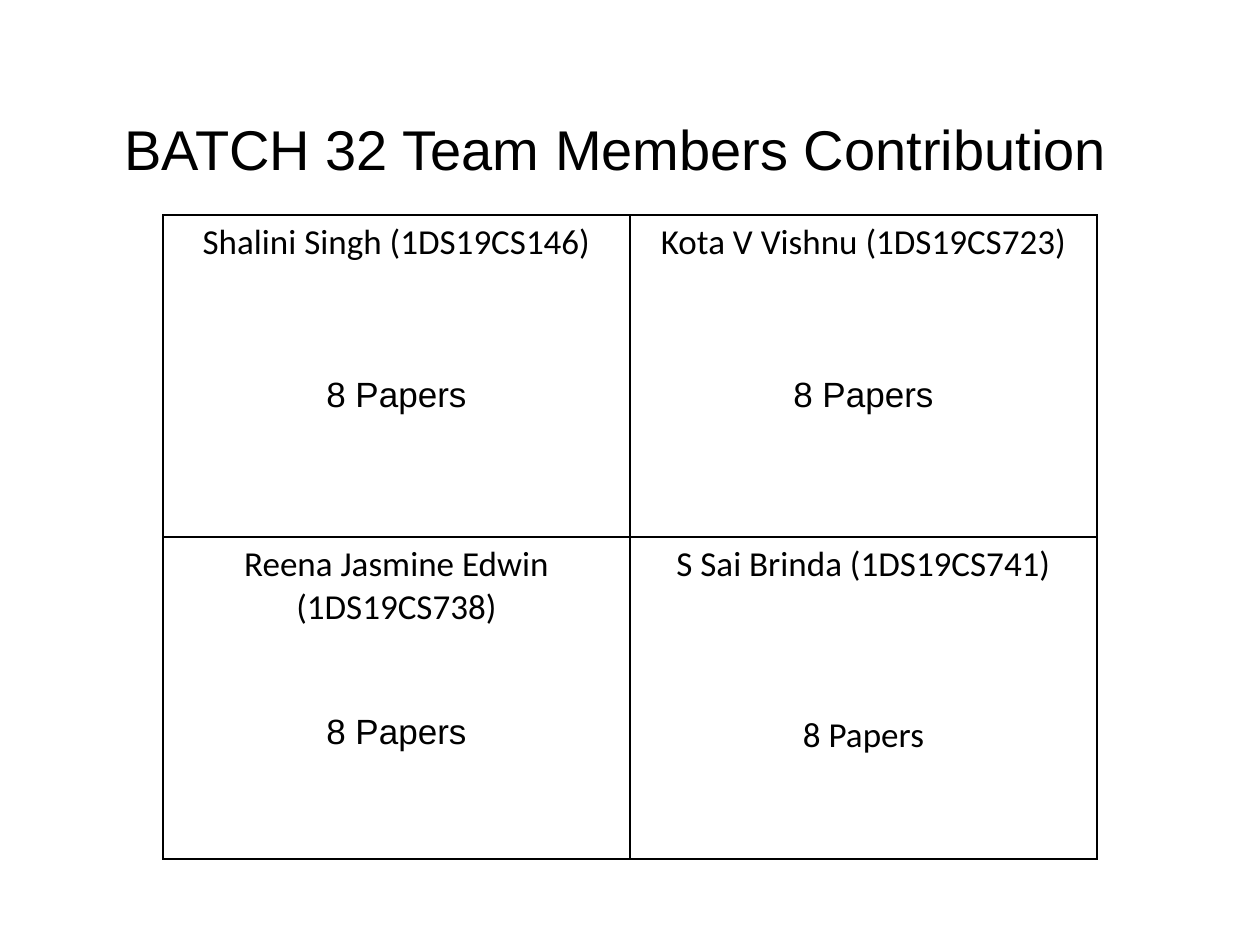
from lxml import etree
from pptx import Presentation
from pptx.dml.color import RGBColor
from pptx.enum.text import MSO_ANCHOR, MSO_AUTO_SIZE, PP_ALIGN
from pptx.oxml.ns import qn
from pptx.util import Emu, Pt

LEFT, CENTER = PP_ALIGN.LEFT, PP_ALIGN.CENTER
BOTTOM = MSO_ANCHOR.BOTTOM
NO_FIT = MSO_AUTO_SIZE.NONE
PX_PER_INCH = 126
COLORS = {"text": "000000", "border": "000000"}
HEAD_FONT, BODY_FONT = "Arial", "Calibri"


def px(n):
    return Emu(n * 914400 // PX_PER_INCH)


class SlideBuilder:
    def __init__(self, prs):
        self.s = prs.slides.add_slide(prs.slide_layouts[5])

    def add_run(self, p, text, size, font):
        r = p.add_run()
        r.text = text
        r.font.size = Pt(size)
        r.font.name = font
        r.font.color.rgb = RGBColor.from_string(COLORS["text"])

    def title(self, text, x, y, w, h):
        sp = self.s.shapes.title
        sp.left, sp.top, sp.width, sp.height = px(x), px(y), px(w), px(h)
        tf = sp.text_frame
        tf.auto_size = NO_FIT
        tf.vertical_anchor = BOTTOM
        p = tf.paragraphs[0]
        p.alignment = LEFT
        self.add_run(p, text, 32, HEAD_FONT)

    def borders(self, cell, width=1):
        tc_pr = cell._tc.get_or_add_tcPr()
        for i, side in enumerate(("lnL", "lnR", "lnT", "lnB")):
            ln = etree.Element(qn(f"a:{side}"), w=str(Pt(width)))
            fill = etree.SubElement(ln, qn("a:solidFill"))
            etree.SubElement(fill, qn("a:srgbClr"), val=COLORS["border"])
            tc_pr.insert(i, ln)

    def member_cell(self, cell, name, papers, font, gap):
        cell.fill.background()
        self.borders(cell)
        tf = cell.text_frame
        p = tf.paragraphs[0]
        p.alignment = CENTER
        self.add_run(p, name, 20, BODY_FONT)
        p = tf.add_paragraph()
        p.alignment = CENTER
        p.space_before = Pt(gap)
        self.add_run(p, papers, 20, font)

    def member_table(self, rows, x, y, col_w, row_h):
        n_rows, n_cols = len(rows), len(rows[0])
        table = self.s.shapes.add_table(
            n_rows, n_cols, px(x), px(y), px(col_w * n_cols), px(row_h * n_rows)
        ).table
        table.first_row = table.horz_banding = False
        for i, row in enumerate(rows):
            table.rows[i].height = px(row_h)
            for j, member in enumerate(row):
                table.columns[j].width = px(col_w)
                self.member_cell(table.cell(i, j), *member)


def main():
    prs = Presentation()
    prs.slide_width, prs.slide_height = px(1260), px(945)
    slide = SlideBuilder(prs)

    # Heading
    slide.title("BATCH 32 Team Members Contribution", 112, 107, 1069, 81)

    # Members: name, papers, font of the papers line, gap above it in points
    members = [
        [("Shalini Singh (1DS19CS146)", "8 Papers", HEAD_FONT, 64),
         ("Kota V Vishnu (1DS19CS723)", "8 Papers", HEAD_FONT, 64)],
        [("Reena Jasmine Edwin (1DS19CS738)", "8 Papers", HEAD_FONT, 48),
         ("S Sai Brinda (1DS19CS741)", "8 Papers", BODY_FONT, 73)],
    ]
    slide.member_table(members, 163, 215, 467, 322)

    prs.save("out.pptx")


if __name__ == "__main__":
    main()
